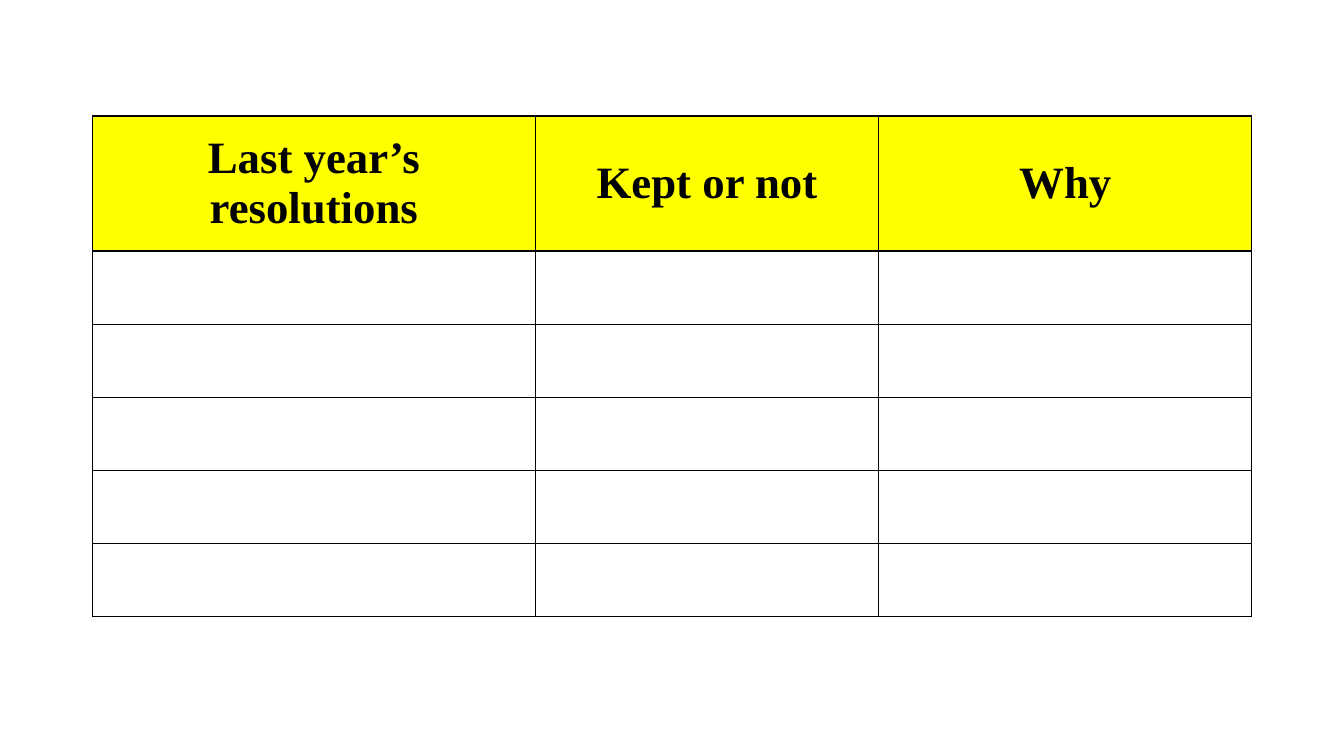
from lxml import etree
from pptx import Presentation
from pptx.dml.color import RGBColor
from pptx.enum.text import MSO_ANCHOR, PP_ALIGN
from pptx.oxml.ns import qn
from pptx.util import Pt

CENTER = PP_ALIGN.CENTER
MIDDLE = MSO_ANCHOR.MIDDLE
FONT = "Times New Roman"
BLACK, YELLOW = "000000", "FFFF00"
HEADINGS = ["Last year’s resolutions", "Kept or not", "Why"]
COLUMN_WIDTHS = [316.2, 245.4, 266.4]
HEADER_HEIGHT, ROW_HEIGHT = 96.5, 52.25
BLANK_ROWS = 5


def rgb(color):
    return RGBColor.from_string(color)


def add_borders(cell, color, width):
    """Draw all four sides; call before filling, as lines precede the fill."""
    tc_pr = cell._tc.get_or_add_tcPr()
    for side in ("a:lnL", "a:lnR", "a:lnT", "a:lnB"):
        ln = etree.SubElement(tc_pr, qn(side), w=str(Pt(width)))
        fill = etree.SubElement(ln, qn("a:solidFill"))
        etree.SubElement(fill, qn("a:srgbClr"), val=color)


def format_heading(cell, text):
    cell.fill.solid()
    cell.fill.fore_color.rgb = rgb(YELLOW)
    cell.vertical_anchor = MIDDLE
    p = cell.text_frame.paragraphs[0]
    p.text = text
    p.alignment = CENTER
    p.font.name = FONT
    p.font.size = Pt(32)
    p.font.bold = True
    p.font.color.rgb = rgb(BLACK)


def add_resolutions_table(s):
    height = HEADER_HEIGHT + BLANK_ROWS * ROW_HEIGHT
    table = s.shapes.add_table(
        BLANK_ROWS + 1, len(HEADINGS), Pt(66.2), Pt(82.8),
        Pt(sum(COLUMN_WIDTHS)), Pt(height)).table
    table.horz_banding = False
    for column, width in zip(table.columns, COLUMN_WIDTHS):
        column.width = Pt(width)
    for i, row in enumerate(table.rows):
        row.height = Pt(ROW_HEIGHT if i else HEADER_HEIGHT)
        for cell, heading in zip(row.cells, HEADINGS):
            add_borders(cell, BLACK, 1)
            if i == 0:
                format_heading(cell, heading)
            else:
                cell.fill.background()


def main():
    prs = Presentation()
    prs.slide_width, prs.slide_height = Pt(960), Pt(540)
    s = prs.slides.add_slide(prs.slide_layouts[6])
    add_resolutions_table(s)
    prs.save("out.pptx")


if __name__ == "__main__":
    main()
